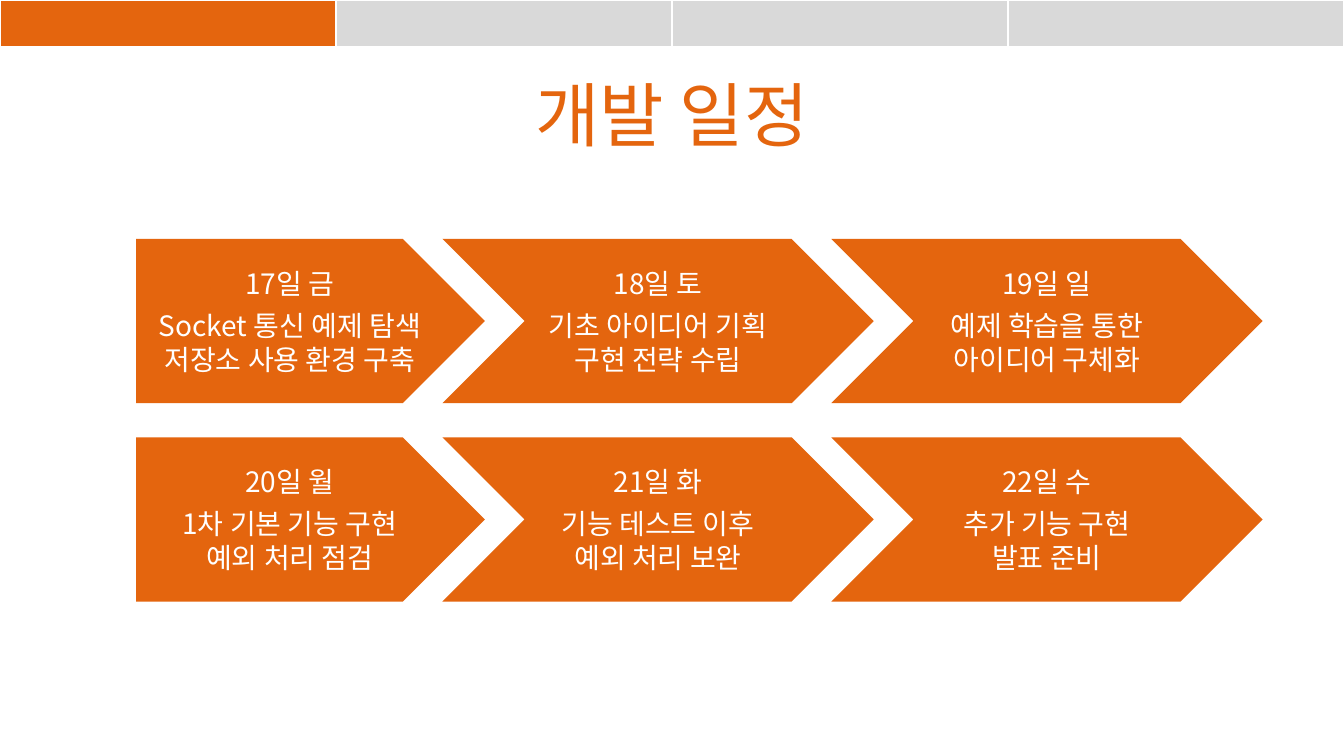
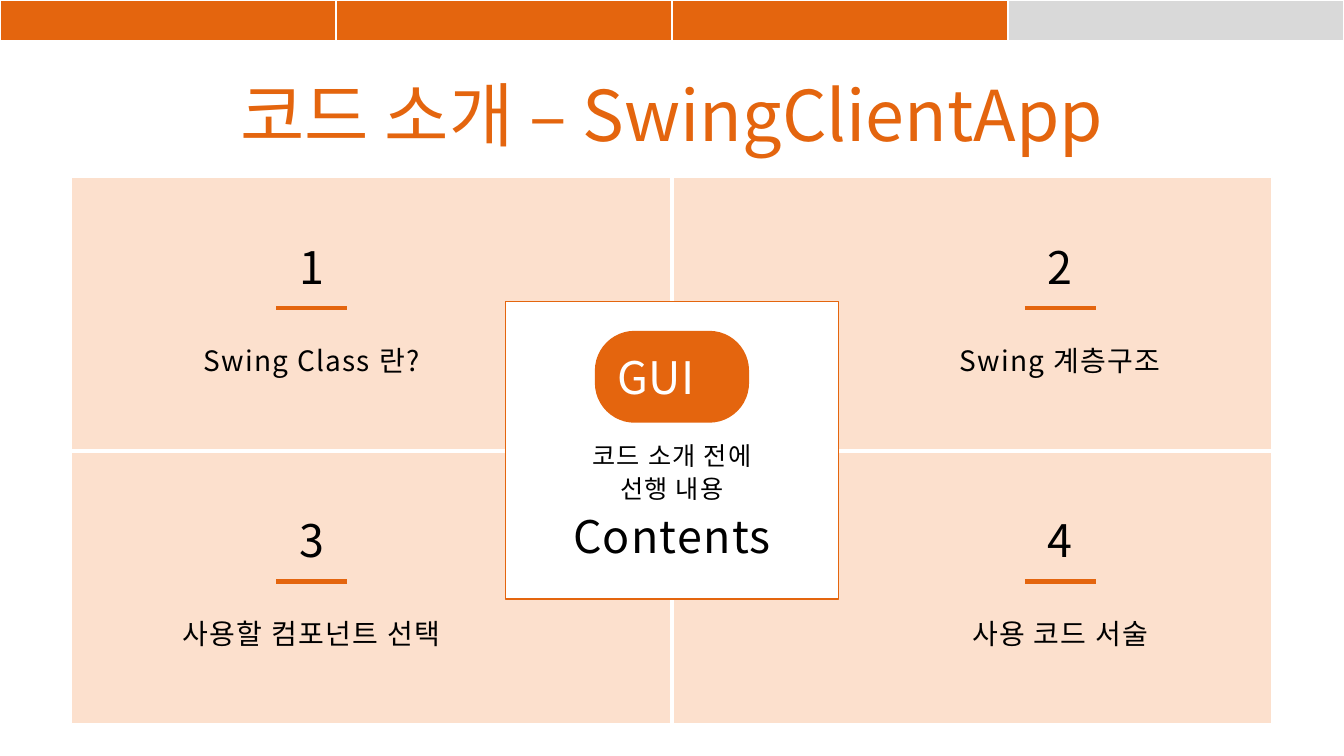
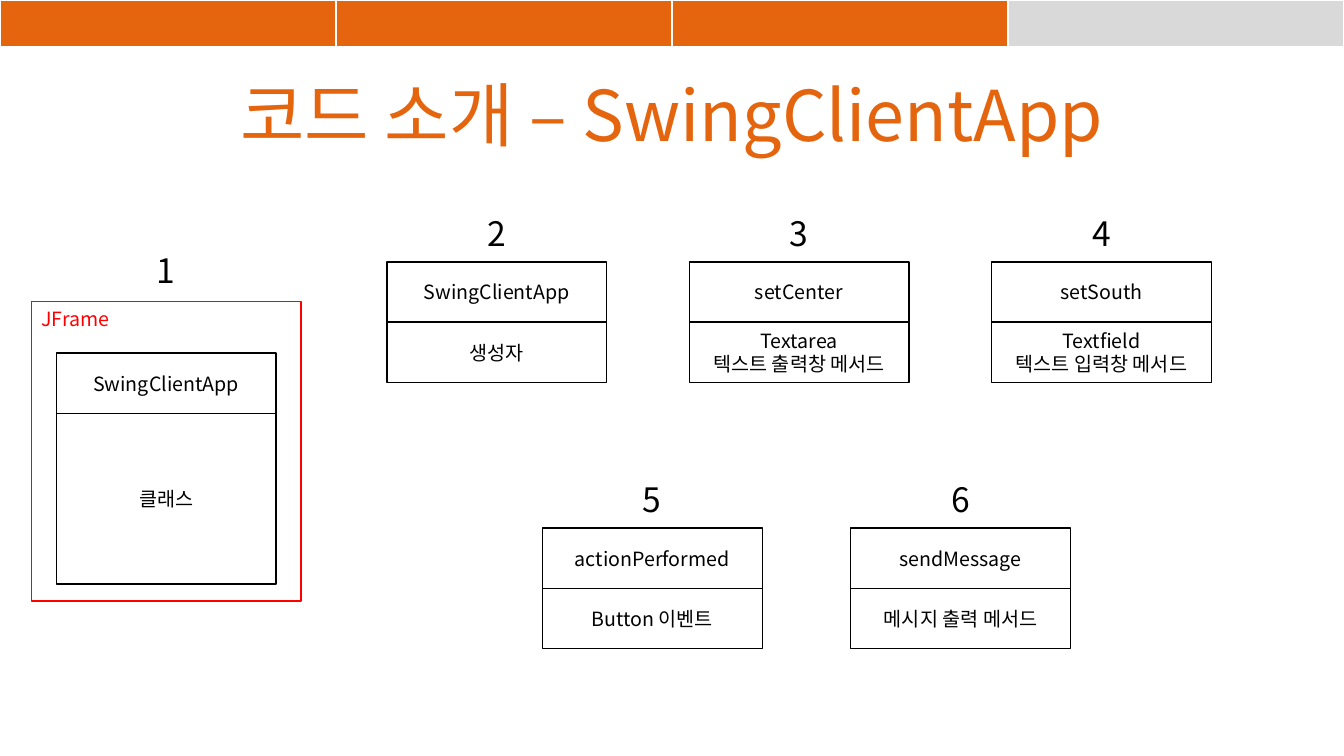
from dataclasses import dataclass

from lxml import etree
from pptx import Presentation
from pptx.dml.color import RGBColor
from pptx.enum.shapes import MSO_CONNECTOR, MSO_SHAPE
from pptx.enum.text import MSO_ANCHOR, PP_ALIGN
from pptx.oxml.ns import qn
from pptx.util import Cm, Pt

RECTANGLE = MSO_SHAPE.RECTANGLE
ROUNDED = MSO_SHAPE.ROUNDED_RECTANGLE
PENTAGON = MSO_SHAPE.PENTAGON
CHEVRON = MSO_SHAPE.CHEVRON
STRAIGHT = MSO_CONNECTOR.STRAIGHT
LEFT, CENTER = PP_ALIGN.LEFT, PP_ALIGN.CENTER
TOP, MIDDLE, BOTTOM = MSO_ANCHOR.TOP, MSO_ANCHOR.MIDDLE, MSO_ANCHOR.BOTTOM


@dataclass(frozen=True)
class Theme:
    font: str = "Noto Sans CJK KR"
    orange: str = "E4650E"
    peach: str = "FCE0CD"
    gray: str = "D9D9D9"
    white: str = "FFFFFF"
    black: str = "000000"
    red: str = "FF0000"
    title: int = 50
    display: int = 32
    number: int = 24
    body: int = 20
    note: int = 18
    small: int = 14
    tracking: int = 90
    spacing: float = 1.1


@dataclass(frozen=True)
class Box:
    """A rectangle in centimetres."""
    left: float
    top: float
    width: float
    height: float

    @property
    def center(self):
        return self.left + self.width / 2

    @property
    def right(self):
        return self.left + self.width

    @property
    def bottom(self):
        return self.top + self.height

    def lengths(self):
        return Cm(self.left), Cm(self.top), Cm(self.width), Cm(self.height)


THEME = Theme()
PAGE = Box(0, 0, 33.87, 19.05)
SECTIONS = 4
CODE_TITLE = "코드 소개 – SwingClientApp"


def color(value):
    return RGBColor.from_string(value)


# Text and shape helpers

def style(paragraph, size, ink, align=CENTER, loose=False):
    paragraph.alignment = align
    font = paragraph.font
    font.name, font.size = THEME.font, Pt(size)
    font.color.rgb = color(ink)
    defaults = paragraph._p.pPr.find(qn("a:defRPr"))
    etree.SubElement(defaults, qn("a:ea"), typeface=THEME.font)
    if loose:
        paragraph.line_spacing = THEME.spacing
        defaults.set("spc", str(THEME.tracking))


def write(shape, lines, size, ink, align=CENTER, anchor=MIDDLE, loose=False):
    frame = shape.text_frame
    frame.word_wrap = True
    frame.vertical_anchor = anchor
    frame.text = "\n".join(lines)
    for paragraph in frame.paragraphs:
        style(paragraph, size, ink, align, loose)
    return frame


def add_text(slide, box, text, size, ink=THEME.black, **options):
    shape = slide.shapes.add_textbox(*box.lengths())
    return write(shape, [text], size, ink, **options)


def add_block(slide, kind, box, fill=None, line=None, weight=1):
    shape = slide.shapes.add_shape(kind, *box.lengths())
    shape.shadow.inherit = False
    if fill:
        shape.fill.solid()
        shape.fill.fore_color.rgb = color(fill)
    else:
        shape.fill.background()
    if line:
        shape.line.color.rgb = color(line)
        shape.line.width = Pt(weight)
    else:
        shape.line.fill.background()
    return shape


def add_rule(slide, start, end, ink):
    rule = slide.shapes.add_connector(
        STRAIGHT, *(Cm(length) for length in (*start, *end)))
    rule.line.color.rgb = color(ink)
    rule.line.width = Pt(3)
    etree.SubElement(rule._element.spPr, qn("a:effectLst"))


def add_number(slide, center, top, number, size):
    box = Box(center - 0.52, top, 1.04, 1.73)
    frame = add_text(slide, box, str(number), size, loose=True)
    frame.margin_left = frame.margin_right = 0


# Parts shared by all slides

def add_cell_border(cell, side, position):
    border = etree.Element(qn(f"a:ln{side}"), w=str(Pt(2.25)))
    fill = etree.SubElement(border, qn("a:solidFill"))
    etree.SubElement(fill, qn("a:srgbClr"), val=THEME.white)
    cell._tc.get_or_add_tcPr().insert(position, border)


def add_progress_band(slide, box, done):
    table = slide.shapes.add_table(1, SECTIONS, *box.lengths()).table
    table.first_row = table.horz_banding = False
    for index in range(SECTIONS):
        table.columns[index].width = Cm(box.width / SECTIONS)
        cell = table.cell(0, index)
        cell.margin_top = cell.margin_bottom = 0
        cell.fill.solid()
        cell.fill.fore_color.rgb = color(
            THEME.orange if index < done else THEME.gray)
        sides = ["L"] * (index > 0) + ["R"] * (index < SECTIONS - 1)
        for position, side in enumerate(sides):
            add_cell_border(cell, side, position)


def add_page(presentation, title, done, band_height=1.18):
    slide = presentation.slides.add_slide(presentation.slide_layouts[6])
    add_progress_band(slide, Box(0, 0, PAGE.width, band_height), done)
    title_box = Box(PAGE.center - 14.85, 1.68, 29.7, 2.39)
    add_text(slide, title_box, title, THEME.title, THEME.orange, anchor=TOP)
    return slide


# Schedule slide

def add_schedule_row(slide, box, days):
    overlap, first_width, next_width = 1.07, 8.79, 10.87
    left = box.left
    for index, lines in enumerate(days):
        kind, width = (CHEVRON, next_width) if index else (PENTAGON, first_width)
        arrow = add_block(slide, kind, Box(left, box.top, width, box.height),
                          THEME.orange)
        frame = write(arrow, lines, THEME.body, THEME.white)
        frame.paragraphs[0].space_after = Pt(6)
        left += width - overlap


def build_schedule(presentation):
    slide = add_page(presentation, "개발 일정", 1)
    weeks = [
        [("17일 금", "Socket 통신 예제 탐색", "저장소 사용 환경 구축"),
         ("18일 토", "기초 아이디어 기획", "구현 전략 수립"),
         ("19일 일", "예제 학습을 통한", "아이디어 구체화")],
        [("20일 월", "1차 기본 기능 구현", "예외 처리 점검"),
         ("21일 화", "기능 테스트 이후", "예외 처리 보완"),
         ("22일 수", "추가 기능 구현", "발표 준비")],
    ]
    for index, days in enumerate(weeks):
        add_schedule_row(slide, Box(3.43, 6.02 + 5 * index, 28.4, 4.14), days)


# Contents slide

def add_topic(slide, center, top, number, label):
    add_number(slide, center, top + 1.32, number, THEME.display)
    rule_top = top + 3.3
    add_rule(slide, (center - 0.89, rule_top), (center + 0.89, rule_top),
             THEME.orange)
    add_text(slide, Box(center - 4.64, top + 3.68, 9.28, 1.78), label,
             THEME.body, loose=True)


def add_center_card(slide, box):
    card = add_block(slide, RECTANGLE, box, THEME.white, THEME.orange)
    frame = write(card, ["코드 소개 전에", "선행 내용", "Contents"],
                  THEME.note, THEME.black, anchor=BOTTOM, loose=True)
    frame.margin_bottom = Cm(0.92)
    frame.paragraphs[-1].font.size = Pt(THEME.display)

    badge_box = Box(box.left + 2.31, box.top + 0.79, 3.78, 2.21)
    badge = add_block(slide, ROUNDED, badge_box, THEME.orange, THEME.orange, 3)
    badge.adjustments[0] = 0.43
    write(badge, ["GUI"], THEME.display, THEME.white, align=LEFT)


def build_contents(presentation):
    slide = add_page(presentation, CODE_TITLE, 3, band_height=1.02)
    panel = Box(1.81, 4.47, 30.25, 13.77)
    middle = panel.top + panel.height / 2
    add_block(slide, RECTANGLE, panel, THEME.peach, THEME.white)
    add_rule(slide, (panel.left, middle), (panel.right, middle), THEME.white)
    add_rule(slide, (panel.center, panel.top), (panel.center, panel.bottom),
             THEME.white)

    labels = ["Swing Class 란?", "Swing 계층구조",
              "사용할 컴포넌트 선택", "사용 코드 서술"]
    centers = (panel.left + 6.04, panel.right - 5.34)
    for index, label in enumerate(labels):
        row, column = divmod(index, 2)
        add_topic(slide, centers[column], panel.top + row * panel.height / 2,
                  index + 1, label)
    add_center_card(slide, Box(panel.center - 4.2, 7.6, 8.4, 7.5))


# Class and method slide

def add_member(slide, box, name, description):
    header_height = 1.52
    header = Box(box.left, box.top, box.width, header_height)
    detail = Box(box.left, header.bottom, box.width, box.height - header_height)
    for part, lines in ((header, [name]), (detail, description)):
        shape = add_block(slide, RECTANGLE, part, line=THEME.black)
        write(shape, lines, THEME.small, THEME.black)


def add_class_frame(slide, box):
    add_block(slide, RECTANGLE, box, line=THEME.red)
    add_text(slide, Box(box.left, box.top, 3.6, 0.86), "JFrame", THEME.small,
             THEME.red, align=LEFT, anchor=TOP)
    add_member(slide, Box(box.left + 0.63, box.top + 1.3, 5.54, 5.82),
               "SwingClientApp", ["클래스"])
    add_number(slide, box.center, box.top - 1.7, 1, THEME.number)


def add_method_row(slide, box, pitch, first_number, methods):
    for index, (name, *description) in enumerate(methods):
        card = Box(box.left + index * pitch, box.top, box.width, box.height)
        add_member(slide, card, name, description)
        add_number(slide, card.center, card.top - 1.65, first_number + index,
                   THEME.number)


def build_methods(presentation):
    slide = add_page(presentation, CODE_TITLE, 3)
    add_class_frame(slide, Box(0.79, 7.6, 6.8, 7.55))
    add_method_row(slide, Box(9.75, 6.6, 5.54, 3.04), 7.62, 2, [
        ("SwingClientApp", "생성자"),
        ("setCenter", "Textarea", "텍스트 출력창 메서드"),
        ("setSouth", "Textfield", "텍스트 입력창 메서드"),
    ])
    add_method_row(slide, Box(13.67, 13.31, 5.54, 3.04), 7.77, 5, [
        ("actionPerformed", "Button 이벤트"),
        ("sendMessage", "메시지 출력 메서드"),
    ])


def main():
    presentation = Presentation()
    presentation.slide_width = Cm(PAGE.width)
    presentation.slide_height = Cm(PAGE.height)
    build_schedule(presentation)
    build_contents(presentation)
    build_methods(presentation)
    presentation.save("out.pptx")


if __name__ == "__main__":
    main()
